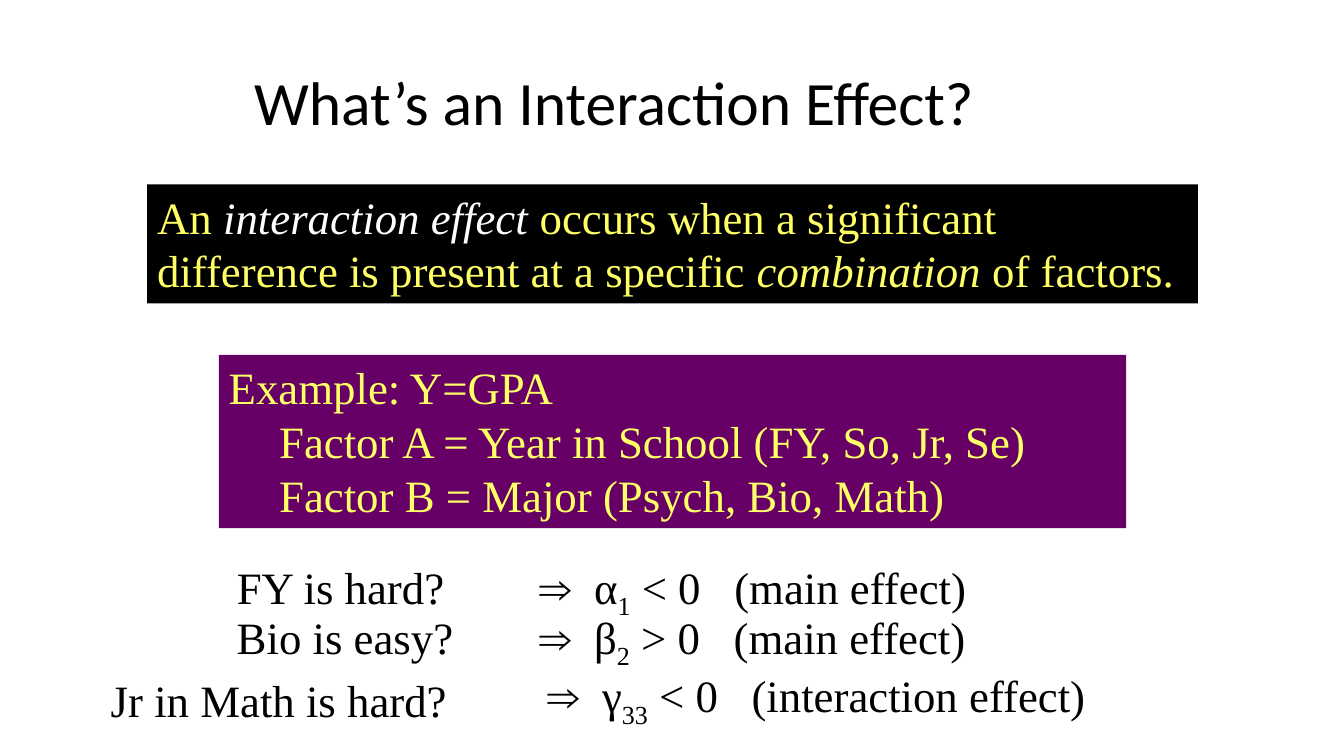
from pptx import Presentation
from pptx.dml.color import RGBColor
from pptx.enum import shapes, text
from pptx.util import Inches, Pt

BLACK = RGBColor(0x00, 0x00, 0x00)
WHITE = RGBColor(0xFF, 0xFF, 0xFF)
YELLOW = RGBColor(0xFF, 0xFF, 0x66)
PURPLE = RGBColor(0x66, 0x00, 0x66)
SERIF = "Times New Roman"


def add_span(para, words, color, size=32, name=SERIF, italic=False, subscript=False):
    span = para.add_run()
    span.text = words
    formats = {"size": Pt(size), "name": name, "italic": italic}
    for key, value in formats.items():
        setattr(span.font, key, value)
    span.font.color.rgb = color
    if subscript:
        span.font._element.set("baseline", "-25000")


def fill_frame(box, paragraphs):
    """Write paragraphs, each a list of (words, color, extra formats)."""
    frame = box.text_frame
    frame.word_wrap = True
    frame.auto_size = text.MSO_AUTO_SIZE.SHAPE_TO_FIT_TEXT
    frame.vertical_anchor = text.MSO_ANCHOR.TOP
    for index, spans in enumerate(paragraphs):
        para = frame.add_paragraph() if index else frame.paragraphs[0]
        para.alignment = text.PP_ALIGN.LEFT
        for words, color, extra in spans:
            add_span(para, words, color, **extra)


deck = Presentation()
deck.slide_width, deck.slide_height = Inches(13.33), Inches(7.5)
page = deck.slides.add_slide(deck.slide_layouts[5])

# Title
title = page.shapes.title
title.left, title.top = Inches(2.42), Inches(0.42)
title.width, title.height = Inches(8.5), Inches(1.25)
title.text_frame.vertical_anchor = text.MSO_ANCHOR.MIDDLE
heading = title.text_frame.paragraphs[0]
heading.alignment = text.PP_ALIGN.LEFT
heading.line_spacing = 0.9
add_span(heading, "What’s an Interaction Effect?", BLACK, size=44, name="Calibri")

# Definition and example panels
definition = [[
    ("An ", YELLOW, {}),
    ("interaction effect", WHITE, {"italic": True}),
    (" occurs when a significant difference is present at a specific ", YELLOW, {}),
    ("combination", YELLOW, {"italic": True}),
    (" of factors.", YELLOW, {}),
]]
example = [[(line, YELLOW, {})] for line in (
    "Example: Y=GPA",
    "\tFactor A = Year in School (FY, So, Jr, Se)",
    "\tFactor B = Major (Psych, Bio, Math)",
)]
panels = [
    (1.46, 1.83, 10.42, 1.18, BLACK, definition),
    (2.17, 3.52, 9, 1.72, PURPLE, example),
]
for left, top, width, height, color, paragraphs in panels:
    panel = page.shapes.add_shape(
        shapes.MSO_SHAPE.RECTANGLE,
        Inches(left), Inches(top), Inches(width), Inches(height))
    panel.shadow.inherit = False
    panel.fill.solid()
    panel.fill.fore_color.rgb = color
    panel.line.fill.background()
    fill_frame(panel, paragraphs)

# Questions (left, top, width) and the effects they imply
effects = [
    ("FY is hard?", (2.25, 5.5, 3.08), "α", "1", " < 0   (main effect)", (5.25, 5.5, 5.42)),
    ("Bio is easy?", (2.25, 6, 3), "β", "2", " > 0   (main effect)", (5.25, 6, 5.42)),
    ("Jr in Math is hard?", (1, 6.62, 4.5), "γ", "33", " < 0   (interaction effect)",
     (5.33, 6.58, 6.33)),
]
for question, question_place, symbol, index, meaning, effect_place in effects:
    effect = [("⇒  " + symbol, BLACK, {}), (index, BLACK, {"subscript": True}),
              (meaning, BLACK, {})]
    for place, spans in ((question_place, [(question, BLACK, {})]), (effect_place, effect)):
        left, top, width = place
        box = page.shapes.add_textbox(
            Inches(left), Inches(top), Inches(width), Inches(0.63))
        fill_frame(box, [spans])

deck.save("out.pptx")
